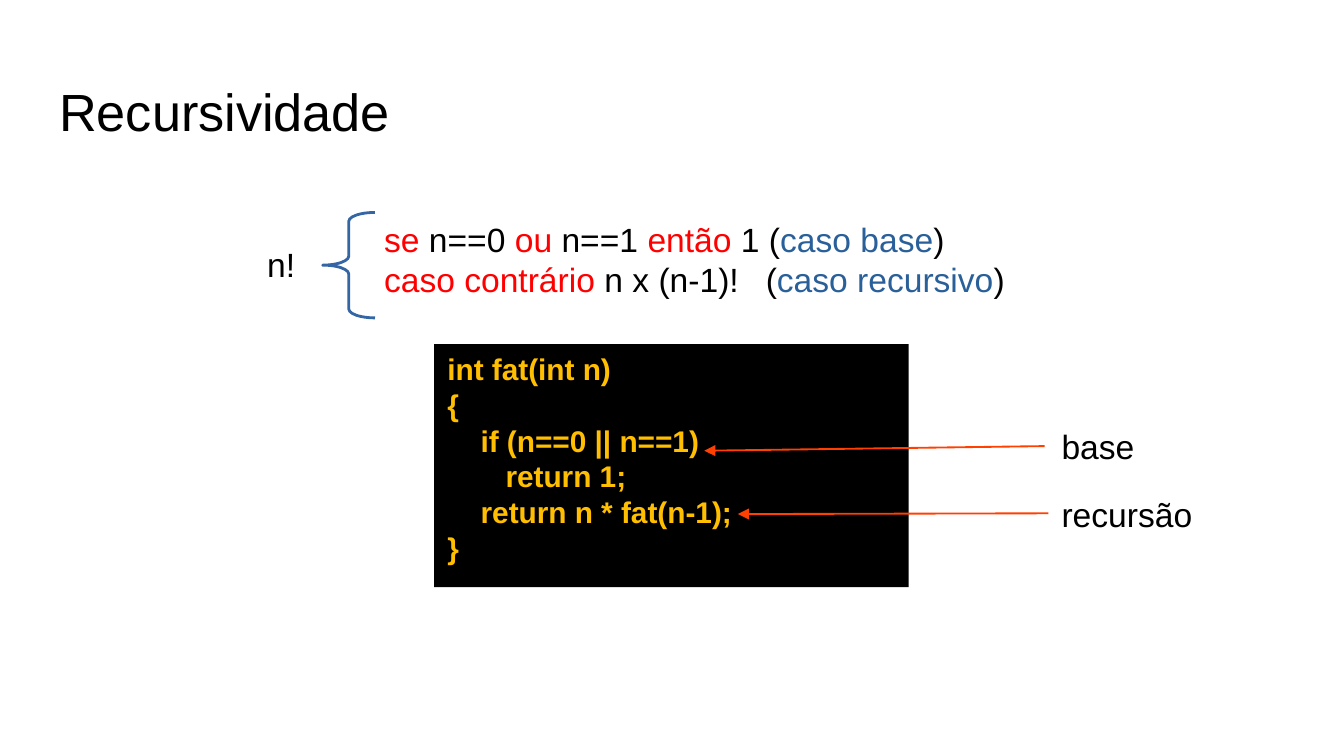
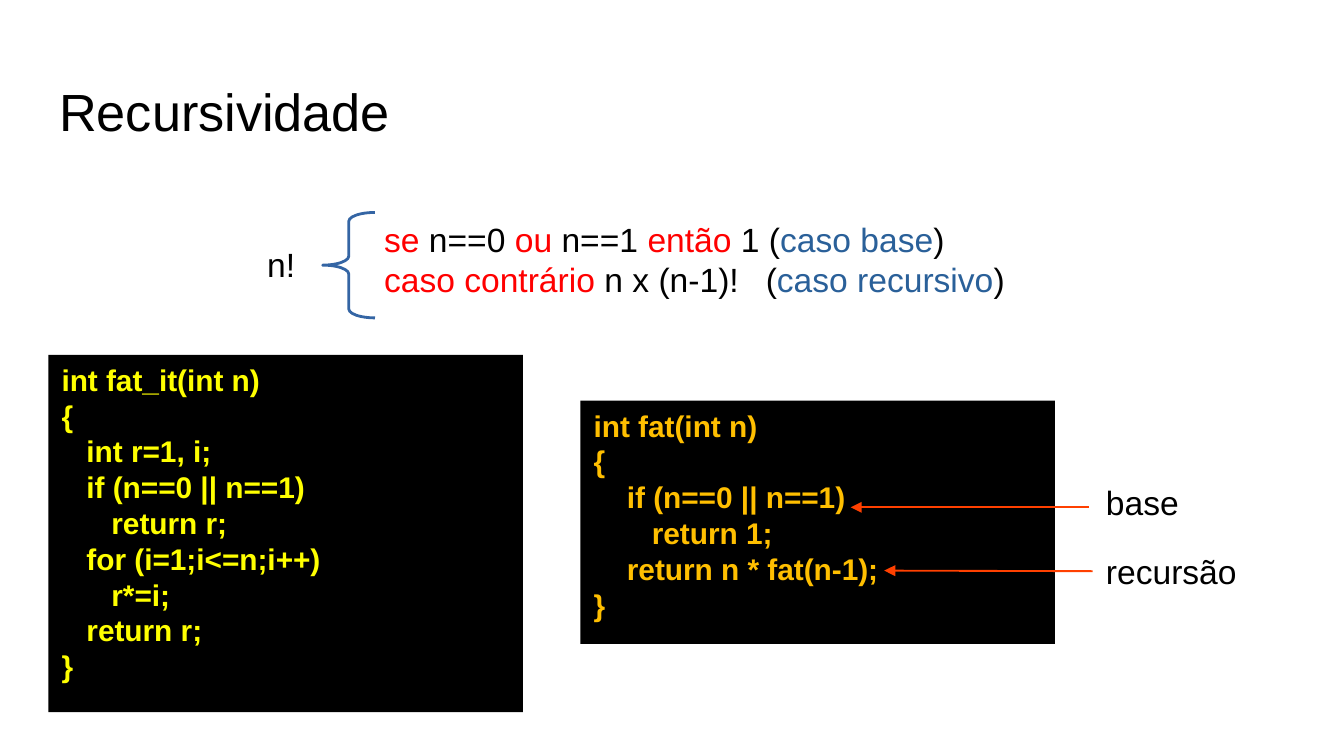
from pptx import Presentation
from pptx.dml.color import RGBColor as Rgb
from pptx.enum.shapes import MSO_CONNECTOR as Link, MSO_SHAPE as Form
from pptx.enum.text import MSO_ANCHOR as Anchor, MSO_AUTO_SIZE as Fit, PP_ALIGN as Align
from pptx.oxml.ns import qn
from pptx.util import Pt
from lxml.etree import SubElement as Sub

FONT = "Arial"
BLACK, RED, BLUE = "000000", "FF0000", "2A6099"
AMBER, YELLOW, ORANGE, BRACE = "FFBF00", "FFFF00", "FF4000", "3465A4"
SPACE = 4.45
CODE_W = 254.2

RULES = [
    [("se", RED), (" n==0 ", BLACK), ("ou", RED), (" n==1 ", BLACK),
     ("então", RED), (" 1 (", BLACK), ("caso base", BLUE), (")", BLACK)],
    [("caso contrário", RED), (" n x (n-1)!\t(", BLACK),
     ("caso recursivo", BLUE), (")", BLACK)],
]
FAT = [(0, "int fat(int n)"), (0, "{"), (4, "if (n==0 || n==1)"),
       (7, "return 1;"), (4, "return n * fat(n-1);"), (0, "}")]
LOOP = [(0, "int fat_it(int n)"), (0, "{"), (3, "int r=1, i;"),
        (3, "if (n==0 || n==1)"), (6, "return r;"),
        (3, "for (i=1;i<=n;i++)"), (6, "r*=i;"), (3, "return r;"), (0, "}")]


def tint(code):
    return Rgb.from_string(code)


def pts(*nums):
    return [Pt(num) for num in nums]


def style(para, size, color=None, bold=False):
    para.alignment = Align.LEFT
    font = para.font
    font.name, font.size, font.bold = FONT, Pt(size), bold
    if color:
        font.color.rgb = tint(color)


def frame(shape, pad=3.6):
    text = shape.text_frame
    text.word_wrap = True
    text.auto_size = Fit.NONE
    text.vertical_anchor = Anchor.TOP
    text.margin_left = text.margin_right = Pt(7.2)
    text.margin_top = text.margin_bottom = Pt(pad)
    return text


def lines(text, count):
    return [text.paragraphs[0]] + [text.add_paragraph() for _ in range(count - 1)]


def title(slide, words):
    shape = slide.shapes.title
    shape.left, shape.top, shape.width, shape.height = pts(24.5, 35.3, 671, 45.4)
    text = frame(shape, 7.2)
    text.text = words
    style(text.paragraphs[0], 28, BLACK)


def label(slide, words, x, y, w):
    text = frame(slide.shapes.add_textbox(*pts(x, y, w, 27.4)))
    text.text = words
    style(text.paragraphs[0], 18, BLACK)


def formula(slide, x, y):
    label(slide, "n!", x, y + 13.6, 31)
    brace = slide.shapes.add_shape(Form.LEFT_BRACE, *pts(x + 36.7, y, 28.1, 56.5))
    brace.shadow.inherit = False
    brace.adjustments[0] = 0.17
    brace.fill.background()
    brace.line.color.rgb = tint(BRACE)
    brace.line.width = Pt(1.5)
    text = frame(slide.shapes.add_textbox(*pts(x + 62.6, y, 374.4, 47.5)))
    for para, parts in zip(lines(text, len(RULES)), RULES):
        style(para, 18)
        for words, color in parts:
            run = para.add_run()
            run.text = words
            run.font.color.rgb = tint(color)
    props = text.paragraphs[1]._p.get_or_add_pPr()
    tabs = props.makeelement(qn("a:tabLst"), {})
    Sub(tabs, qn("a:tab"), pos=str(Pt(204.5)), algn="l")
    props.insert(0, tabs)


def code(slide, rows, color, x, y, h):
    box = slide.shapes.add_shape(Form.RECTANGLE, *pts(x, y, CODE_W, h))
    box.shadow.inherit = False
    box.fill.solid()
    box.fill.fore_color.rgb = tint(BLACK)
    box.line.fill.background()
    text = frame(box)
    for para, (depth, words) in zip(lines(text, len(rows)), rows):
        para.text = words
        style(para, 16, color, True)
        if depth:
            props = para._p.get_or_add_pPr()
            props.set("marL", str(Pt(depth * SPACE)))
            props.set("indent", "0")


def arrow(slide, start, end):
    link = slide.shapes.add_connector(Link.STRAIGHT, *pts(*start, *end))
    link.line.color.rgb = tint(ORANGE)
    link.line.width = Pt(1)
    Sub(link.line._get_or_add_ln(), qn("a:tailEnd"), type="triangle")
    Sub(link._element.spPr, qn("a:effectLst"))


def fat(slide, x, y, side, widths, tails):
    code(slide, FAT, AMBER, x, y, 130.3)
    left = x + side
    tips = [(144.7, 57.2), (162.7, 91.1)]
    for i, words in enumerate(["base", "recursão"]):
        label(slide, words, left, y + 40.3 + 36.7 * i, widths[i])
        dx, dy = tips[i]
        arrow(slide, (left - 2 * (1 - i), y + tails[i]), (x + dx, y + dy))


def page(deck):
    slide = deck.slides.add_slide(deck.slide_layouts[5])
    title(slide, "Recursividade")
    formula(slide, 136.1, 113.8)
    return slide


deck = Presentation()
deck.slide_width, deck.slide_height = pts(720, 405)

first = page(deck)
fat(first, 232.6, 184.3, 329, (118.8, 118.8), (54.7, 90.7))

second = page(deck)
code(second, LOOP, YELLOW, 25.9, 190.1, 191.5)
fat(second, 311, 214.6, 274.4, (64.8, 95.8), (57.2, 91.4))

deck.save("out.pptx")
